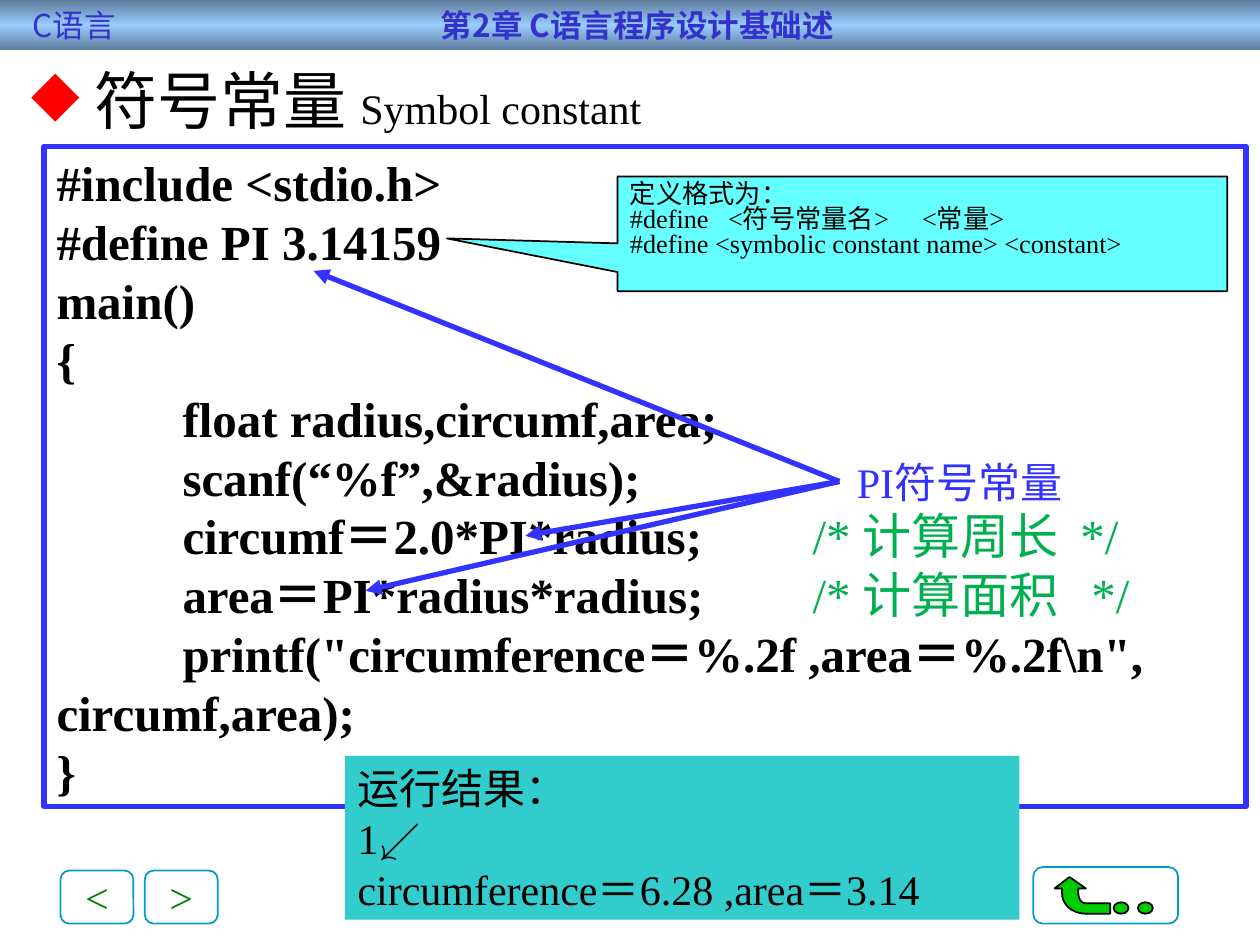
from copy import deepcopy

from lxml import etree
from pptx import Presentation
from pptx.dml.color import RGBColor
from pptx.enum.shapes import MSO_CONNECTOR, MSO_SHAPE
from pptx.enum.text import MSO_ANCHOR, PP_ALIGN
from pptx.oxml.ns import qn
from pptx.util import Cm, Pt

RECTANGLE = MSO_SHAPE.RECTANGLE
ROUNDED = MSO_SHAPE.ROUNDED_RECTANGLE
OVAL = MSO_SHAPE.OVAL
CALLOUT = MSO_SHAPE.RECTANGULAR_CALLOUT
STRAIGHT = MSO_CONNECTOR.STRAIGHT
TOP, MIDDLE = MSO_ANCHOR.TOP, MSO_ANCHOR.MIDDLE
LEFT, CENTER = PP_ALIGN.LEFT, PP_ALIGN.CENTER

SERIF = "Times New Roman"
CHINESE = "Noto Sans CJK SC"
BLUE, TEAL, GREEN = "3333FF", "0099CC", "00B050"
CODE_TABS = [2.54 * step for step in range(1, 9)]

CODE = [
    "#include <stdio.h>",
    "#define PI 3.14159",
    "main()",
    "{",
    "\tfloat radius,circumf,area;",
    "\tscanf(“%f”,&radius);",
    ["\tcircumf＝2.0*PI*radius;\t", ("/* 计算周长  */", {"color": GREEN, "bold": False})],
    ["\tarea＝PI*radius*radius;\t", ("/* 计算面积   */", {"color": GREEN, "bold": False})],
    '\tprintf("circumference＝%.2f ,area＝%.2f\\n", circumf,area);',
    "}",
]
RESULT = ["运行结果：", "1↙", "circumference＝6.28 ,area＝3.14"]
SYNTAX = [
    "定义格式为：",
    "#define\t<符号常量名>\t<常量>",
    "#define <symbolic constant name> <constant>",
]


def rgb(color):
    return RGBColor.from_string(color)


def add_child(parent, tag, **attributes):
    return etree.SubElement(parent, qn(tag), **attributes)


def add_span(para, text, size=24, font=SERIF, color="000000", bold=False):
    span = para.add_run()
    span.text = text
    span.font.size = Pt(size)
    span.font.name = font
    span.font.bold = bold
    span.font.color.rgb = rgb(color)
    add_child(span.font._element, "a:ea", typeface=CHINESE)


def write(box, lines, align=LEFT, anchor=MIDDLE, wrap=True, spacing=None,
          tabs=(), bullet=None, margins=(0.25, 0.13), **span_format):
    """Each line is a string or a list of strings and (string, format) pairs."""
    frame = box.text_frame
    frame.word_wrap = wrap
    frame.vertical_anchor = anchor
    frame.margin_left = frame.margin_right = Cm(margins[0])
    frame.margin_top = frame.margin_bottom = Cm(margins[1])
    for index, line in enumerate(lines):
        para = frame.add_paragraph() if index else frame.paragraphs[0]
        properties = para._p.get_or_add_pPr()
        if bullet:
            properties.set("marL", str(Cm(1.27)))
            properties.set("indent", str(-Cm(1.27)))
            color = add_child(properties, "a:buClr")
            add_child(color, "a:srgbClr", val="FF0000")
            add_child(properties, "a:buChar", char=bullet)
        if tabs:
            stops = add_child(properties, "a:tabLst")
            for place in tabs:
                add_child(stops, "a:tab", pos=str(Cm(place)), algn="l")
        para.alignment = align
        if spacing:
            para.line_spacing = spacing
        for part in [line] if isinstance(line, str) else line:
            text, changes = (part, {}) if isinstance(part, str) else part
            add_span(para, text, **{**span_format, **changes})


def paint(shape, fill=None, line=None, line_width=1):
    shape.shadow.inherit = False
    if fill:
        shape.fill.solid()
        shape.fill.fore_color.rgb = rgb(fill)
    else:
        shape.fill.background()
    if line:
        shape.line.color.rgb = rgb(line)
        shape.line.width = Pt(line_width)
    else:
        shape.line.fill.background()


def add_box(page, kind, left, top, width, height, **look):
    box = page.shapes.add_shape(kind, Cm(left), Cm(top), Cm(width), Cm(height))
    paint(box, **look)
    return box


def add_text_box(page, left, top, width, height, lines, **text_format):
    box = page.shapes.add_textbox(Cm(left), Cm(top), Cm(width), Cm(height))
    write(box, lines, **text_format)
    return box


def add_arrow(page, label, end_x, end_y):
    """Draw an arrow from the left side of the label."""
    arrow = page.shapes.add_connector(STRAIGHT, label.left, label.top, Cm(end_x), Cm(end_y))
    arrow.begin_connect(label, 1)
    arrow.line.color.rgb = rgb(BLUE)
    arrow.line.width = Pt(3)
    add_child(arrow.line._get_or_add_ln(), "a:tailEnd", type="triangle")
    add_child(arrow._element.spPr, "a:effectLst")


def add_header(page):
    band = add_box(page, RECTANGLE, 0, 0, 25.4, 1.02)
    band.fill.gradient()
    band.fill.gradient_angle = 90
    stops = band._element.spPr.find(".//" + qn("a:gsLst"))
    stops.append(deepcopy(stops[0]))
    colors = ["5D7C9B", "99CCFF", "5D7C9B"]
    for index, (stop, color) in enumerate(zip(band.fill.gradient_stops, colors)):
        stop.position = index / 2
        stop.color.rgb = rgb(color)
    write(band, [["C语言\t", ("第2章 C语言程序设计基础述", {"bold": True})]],
          tabs=[8.23], margins=(0.66, 0), size=18, font=CHINESE, color="3333CC")


def curve(start, first, second, end, steps=10):
    """Points of a cubic curve after its start."""
    points = []
    for step in range(1, steps + 1):
        t = step / steps
        weights = ((1 - t) ** 3, 3 * t * (1 - t) ** 2, 3 * t * t * (1 - t), t ** 3)
        corners = (start, first, second, end)
        points.append(tuple(sum(w * c[axis] for w, c in zip(weights, corners))
                            for axis in (0, 1)))
    return points


def add_return_button(page):
    outer = curve((21.41, 18.01), (21.41, 18.24), (21.62, 18.42), (21.89, 18.42))
    inner = curve((21.89, 18.21), (21.79, 18.21), (21.74, 18.11), (21.74, 18.01))
    points = [(21.26, 17.91), (21.41, 17.91), (21.41, 18.01), *outer,
              (22.38, 18.42), (22.38, 18.21), (21.89, 18.21), *inner,
              (21.74, 17.91), (21.89, 17.91)]
    builder = page.shapes.build_freeform(Cm(21.56), Cm(17.68))
    builder.add_line_segments([(Cm(x), Cm(y)) for x, y in points], close=True)
    paint(builder.convert_to_shape(), fill="00CC00", line="000000")
    for left in (22.45, 22.94):
        add_box(page, OVAL, left, 18.19, 0.3, 0.23, fill="00CC00", line="000000")
    add_box(page, ROUNDED, 20.83, 17.48, 2.92, 1.14, line=TEAL)


def main():
    deck = Presentation()
    deck.slide_width, deck.slide_height = Cm(25.4), Cm(19.05)
    page = deck.slides.add_slide(deck.slide_layouts[6])

    # Navigation
    for left, sign in ((1.22, "<"), (2.92, ">")):
        button = add_box(page, ROUNDED, left, 17.55, 1.47, 1.07, line=TEAL)
        write(button, [sign], align=CENTER, wrap=False, color="008000")
    add_return_button(page)

    # Program and its output
    program = add_box(page, RECTANGLE, 0.89, 2.95, 24.23, 13.31,
                      fill="FFFFFF", line=BLUE, line_width=3)
    write(program, CODE, tabs=CODE_TABS, size=28, bold=True)
    result = add_box(page, RECTANGLE, 6.96, 15.24, 13.59, 3.3, fill="33CCCC")
    write(result, RESULT)

    # Header and title
    add_header(page)
    title = [("符号常量 ", {"size": 36, "font": "Arial"}), "Symbol constant"]
    add_text_box(page, 0.38, 1.12, 14.83, 1.83, [title], anchor=TOP, bullet="◆")

    # Label with arrows to each use of PI
    label = add_text_box(page, 16.92, 9.07, 4.85, 1.27, ["PI符号常量"],
                         align=CENTER, wrap=False, color=BLUE)
    for end in ((10.59, 10.8), (6.32, 5.46), (7.37, 11.91)):
        add_arrow(page, label, *end)

    # Syntax callout
    callout = add_box(page, CALLOUT, 12.45, 3.56, 12.29, 2.31, fill="66FFFF", line="000000")
    callout.adjustments[0], callout.adjustments[1] = -0.78, 0.04
    write(callout, SYNTAX, anchor=TOP, spacing=0.8, tabs=[1.98, 5.89], size=15)

    deck.save("out.pptx")


if __name__ == "__main__":
    main()
